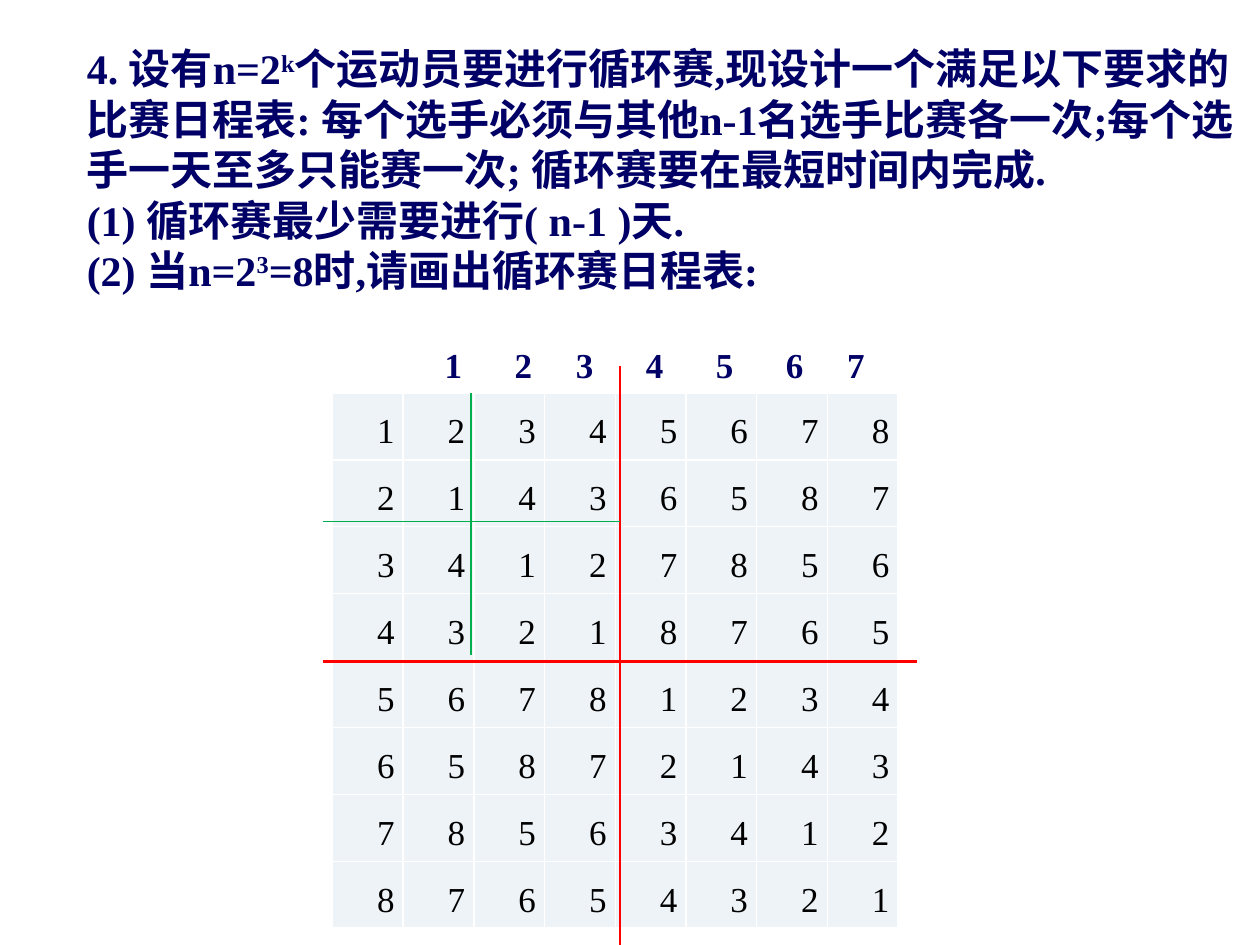
from lxml.etree import SubElement
from pptx import Presentation
from pptx.dml.color import RGBColor
from pptx.enum.lang import MSO_LANGUAGE_ID
from pptx.enum.shapes import MSO_CONNECTOR
from pptx.enum.text import PP_ALIGN
from pptx.oxml.ns import qn
from pptx.util import Pt

COLORS = {"navy": "000066", "black": "000000", "cell": "EEF3F7",
          "red": "FF0000", "green": "00B050"}
QUESTION = [
    [("4. 设有n=2", 0), ("k", 30),
     ("个运动员要进行循环赛,现设计一个满足以下要求的比赛日程表: "
      "每个选手必须与其他n-1名选手比赛各一次;每个选手一天至多只能赛一次; "
      "循环赛要在最短时间内完成.", 0)],
    [("(1) 循环赛最少需要进行( n-1 )天.", 0)],
    [("(2) 当n=2", 0), ("3", 30), ("=8时,请画出循环赛日程表:", 0)],
]
PLAYERS = 8
DAYS = [str(day) for day in range(1, PLAYERS)]
DAY_STOPS = [40, 75, 115, 155, 195, 230]
TABLE_LEFT, TABLE_TOP = 190, 224.5
COLUMN_WIDTH, ROW_HEIGHT = 40.4, 38.25
DIVIDERS = [
    ("red", 1.5, (184.5, 378), (524, 378)),
    ("red", 1.5, (354.25, 209), (354.25, 540)),
    ("green", 1, (184.5, 298), (354.25, 298)),
    ("green", 1, (269.25, 224.5), (269.25, 374.5)),
]
QUESTION_FONT = {"size": Pt(24), "bold": True}
DAY_FONT = {"size": Pt(20), "bold": True}
CELL_FONT = {"size": Pt(20), "bold": False}
CELL_MARGINS = {"margin_left": Pt(5), "margin_right": Pt(5),
                "margin_top": 0, "margin_bottom": 0}


def color(name):
    return RGBColor.from_string(COLORS[name])


def add_span(para, text, formats, color_name):
    span = para.add_run()
    span.text = text
    settings = {"name": "Times New Roman",
                "language_id": MSO_LANGUAGE_ID.SIMPLIFIED_CHINESE, **formats}
    for key, value in settings.items():
        setattr(span.font, key, value)
    span.font.color.rgb = color(color_name)
    return span


def add_text_box(page, left, top, width, height):
    box = page.shapes.add_textbox(Pt(left), Pt(top), Pt(width), Pt(height))
    box.text_frame.word_wrap = True
    return box.text_frame


def add_question(page):
    frame = add_text_box(page, 42.5, 21, 674.5, 152.5)
    for index, parts in enumerate(QUESTION):
        para = frame.add_paragraph() if index else frame.paragraphs[0]
        for text, raised in parts:
            span = add_span(para, text, QUESTION_FONT, "navy")
            if raised:
                span.font._element.set("baseline", str(raised * 1000))


def add_schedule(page):
    table = page.shapes.add_table(
        PLAYERS, PLAYERS, Pt(TABLE_LEFT), Pt(TABLE_TOP),
        Pt(COLUMN_WIDTH * PLAYERS), Pt(ROW_HEIGHT * PLAYERS)).table
    table.first_row = table.horz_banding = False
    for column in table.columns:
        column.width = Pt(COLUMN_WIDTH)
    for row_index, row in enumerate(table.rows):
        row.height = Pt(ROW_HEIGHT)
        for column_index, cell in enumerate(row.cells):
            for key, value in CELL_MARGINS.items():
                setattr(cell, key, value)
            cell.fill.solid()
            cell.fill.fore_color.rgb = color("cell")
            para = cell.text_frame.paragraphs[0]
            para.alignment, para.line_spacing = PP_ALIGN.RIGHT, 1.5
            opponent = (row_index ^ column_index) + 1
            add_span(para, str(opponent), CELL_FONT, "black")


def add_days(page):
    para = add_text_box(page, 247, 193, 272, 31.5).paragraphs[0]
    stops = SubElement(para._p.get_or_add_pPr(), qn("a:tabLst"))
    for stop in DAY_STOPS:
        SubElement(stops, qn("a:tab"), pos=str(Pt(stop)), algn="l")
    add_span(para, "\t".join(DAYS), DAY_FONT, "navy")


def add_dividers(page):
    for color_name, width, start, end in DIVIDERS:
        line = page.shapes.add_connector(
            MSO_CONNECTOR.STRAIGHT, *map(Pt, start + end))
        line.line.color.rgb = color(color_name)
        line.line.width = Pt(width)
        SubElement(line._element.spPr, qn("a:effectLst"))


def main():
    deck = Presentation()
    deck.slide_width, deck.slide_height = Pt(720), Pt(540)
    page = deck.slides.add_slide(deck.slide_layouts[6])
    add_question(page)
    add_schedule(page)
    add_days(page)
    add_dividers(page)
    deck.save("out.pptx")


if __name__ == "__main__":
    main()
